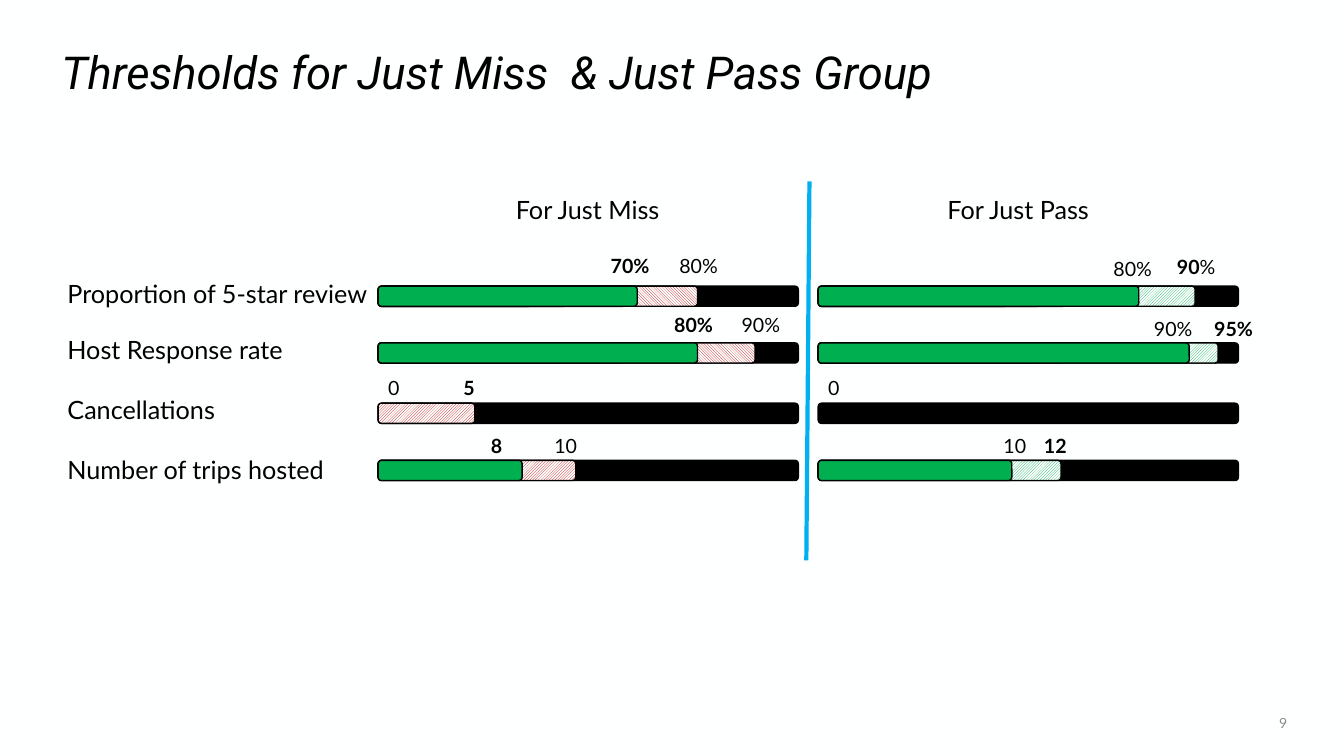
from dataclasses import dataclass

from lxml import etree
from pptx import Presentation
from pptx.dml.color import RGBColor
from pptx.enum.dml import MSO_PATTERN
from pptx.enum.shapes import MSO_CONNECTOR, MSO_SHAPE
from pptx.enum.text import MSO_ANCHOR, MSO_AUTO_SIZE, PP_ALIGN
from pptx.oxml.ns import qn
from pptx.util import Cm, Pt

ROUNDED = MSO_SHAPE.ROUNDED_RECTANGLE
STRAIGHT = MSO_CONNECTOR.STRAIGHT
TOP, MIDDLE = MSO_ANCHOR.TOP, MSO_ANCHOR.MIDDLE
LEFT, CENTER, RIGHT = PP_ALIGN.LEFT, PP_ALIGN.CENTER, PP_ALIGN.RIGHT
GROW, FIXED = MSO_AUTO_SIZE.SHAPE_TO_FIT_TEXT, MSO_AUTO_SIZE.NONE
DARK_DOWN = MSO_PATTERN.DARK_DOWNWARD_DIAGONAL
DARK_UP = MSO_PATTERN.DARK_UPWARD_DIAGONAL
LIGHT_UP = MSO_PATTERN.LIGHT_UPWARD_DIAGONAL


@dataclass(frozen=True)
class Theme:
    paper: RGBColor = RGBColor(0xFE, 0xFF, 0xFF)
    ink: RGBColor = RGBColor(0, 0, 0)
    gray: RGBColor = RGBColor(0x8C, 0x8C, 0x8C)
    green: RGBColor = RGBColor(0x00, 0xB0, 0x50)
    red: RGBColor = RGBColor(0xC0, 0x00, 0x00)
    blue: RGBColor = RGBColor(0x00, 0xB0, 0xF0)
    title_font: str = "Roboto"
    body_font: str = "Lato"
    title_size: float = 32.4
    label_size: float = 18
    value_size: float = 14
    number_size: float = 10


class SlideBuilder:
    def __init__(self, page, theme):
        self.page = page
        self.theme = theme
        page.background.fill.solid()
        page.background.fill.fore_color.rgb = theme.paper

    def text(self, place, spans, size, color=None, align=LEFT, anchor=TOP,
             fit=GROW, spacing=1.0, **font_values):
        box = self.page.shapes.add_textbox(*map(Cm, place))
        frame = box.text_frame
        frame_values = {"word_wrap": True, "auto_size": fit, "vertical_anchor": anchor}
        for name, value in frame_values.items():
            setattr(frame, name, value)
        para = frame.paragraphs[0]
        para.alignment = align
        para.line_spacing = spacing
        values = {"name": self.theme.body_font, "size": Pt(size), **font_values}
        for words, bold in spans:
            span = para.add_run()
            span.text = words
            for name, value in {**values, "bold": bold}.items():
                setattr(span.font, name, value)
            span.font.color.rgb = color or self.theme.ink

    def bar(self, left, top, width, color, pattern=None):
        bar = self.page.shapes.add_shape(ROUNDED, Cm(left), Cm(top), Cm(width), Cm(0.51))
        bar.shadow.inherit = False
        if pattern is None:
            bar.fill.solid()
        else:
            bar.fill.patterned()
            bar.fill.pattern = pattern
            bar.fill.back_color.rgb = self.theme.paper
        bar.fill.fore_color.rgb = color
        bar.line.color.rgb = self.theme.ink
        bar.line.width = Pt(1)

    def line(self, ends, color, width):
        line = self.page.shapes.add_connector(STRAIGHT, *map(Cm, ends))
        line.line.color.rgb = color
        line.line.width = Pt(width)
        etree.SubElement(line._element.spPr, qn("a:effectLst"))


ROWS = [
    ("Proportion of 5-star review", 6.88, 7.21),
    ("Host Response rate", 8.31, 8.64),
    ("Cancellations", 9.8, 10.16),
    ("Number of trips hosted", 11.33, 11.6),
]
BAR_WIDTH = 10.59
MISS_BARS = [(8.05, 6.53, DARK_DOWN), (9.5, 8.05, DARK_DOWN),
             (2.44, 0, DARK_UP), (4.98, 3.63, DARK_UP)]
PASS_BARS = [(9.5, 8.08, LIGHT_UP), (10.08, 9.35, LIGHT_UP),
             (0, 0, LIGHT_UP), (6.12, 4.88, LIGHT_UP)]
VALUES = [
    (15.14, 6.27, [("70%", True)]),
    (16.87, 6.27, [("80%", False)]),
    (16.74, 7.77, [("80%", True)]),
    (18.44, 7.77, [("90%", False)]),
    (9.53, 9.35, [("0", False)]),
    (11.43, 9.35, [("5", True)]),
    (12.12, 10.8, [("8", True)]),
    (13.72, 10.82, [("10", False)]),
    (27.81, 6.35, [("80%", False)]),
    (29.41, 6.3, [("90", True), ("%", False)]),
    (28.83, 7.85, [("90%", False)]),
    (30.35, 7.85, [("95%", True)]),
    (20.62, 9.35, [("0", False)]),
    (25.04, 10.82, [("10", False)]),
    (26.06, 10.8, [("12", True)]),
]


def main():
    theme = Theme()
    deck = Presentation()
    deck.slide_width, deck.slide_height = Cm(33.87), Cm(19.05)
    page = deck.slides.add_slide(deck.slide_layouts[6])
    builder = SlideBuilder(page, theme)

    builder.text((1.3, 1.07, 31.29, 1.63),
                 [("Thresholds for Just Miss  & Just Pass Group", False)],
                 theme.title_size, anchor=MIDDLE, fit=FIXED, spacing=0.9,
                 name=theme.title_font, italic=True)
    builder.text((29.31, 17.78, 3.38, 0.89), [("9", False)], theme.number_size,
                 theme.gray, RIGHT, MIDDLE, FIXED)

    for label, label_top, bar_top in ROWS:
        builder.text((1.45, label_top, 8.97, 1.02), [(label, False)], theme.label_size)

    groups = [
        ("For Just Miss", 12.7, 9.53, theme.red, MISS_BARS),
        ("For Just Pass", 23.55, 20.62, theme.green, PASS_BARS),
    ]
    for heading, heading_left, left, hatch_color, bars in groups:
        builder.text((heading_left, 4.78, 4.22, 1.02), [(heading, False)],
                     theme.label_size, align=CENTER)
        for (label, label_top, top), (hatched, solid, pattern) in zip(ROWS, bars):
            builder.bar(left, top, BAR_WIDTH, theme.ink)
            if hatched:
                builder.bar(left, top, hatched, hatch_color, pattern)
            if solid:
                builder.bar(left, top, solid, theme.green)

    for left, top, spans in VALUES:
        builder.text((left, top, 1.6, 0.86), spans, theme.value_size)

    builder.line((20.4, 4.57, 20.32, 14.12), theme.blue, 3)
    deck.save("out.pptx")


if __name__ == "__main__":
    main()
